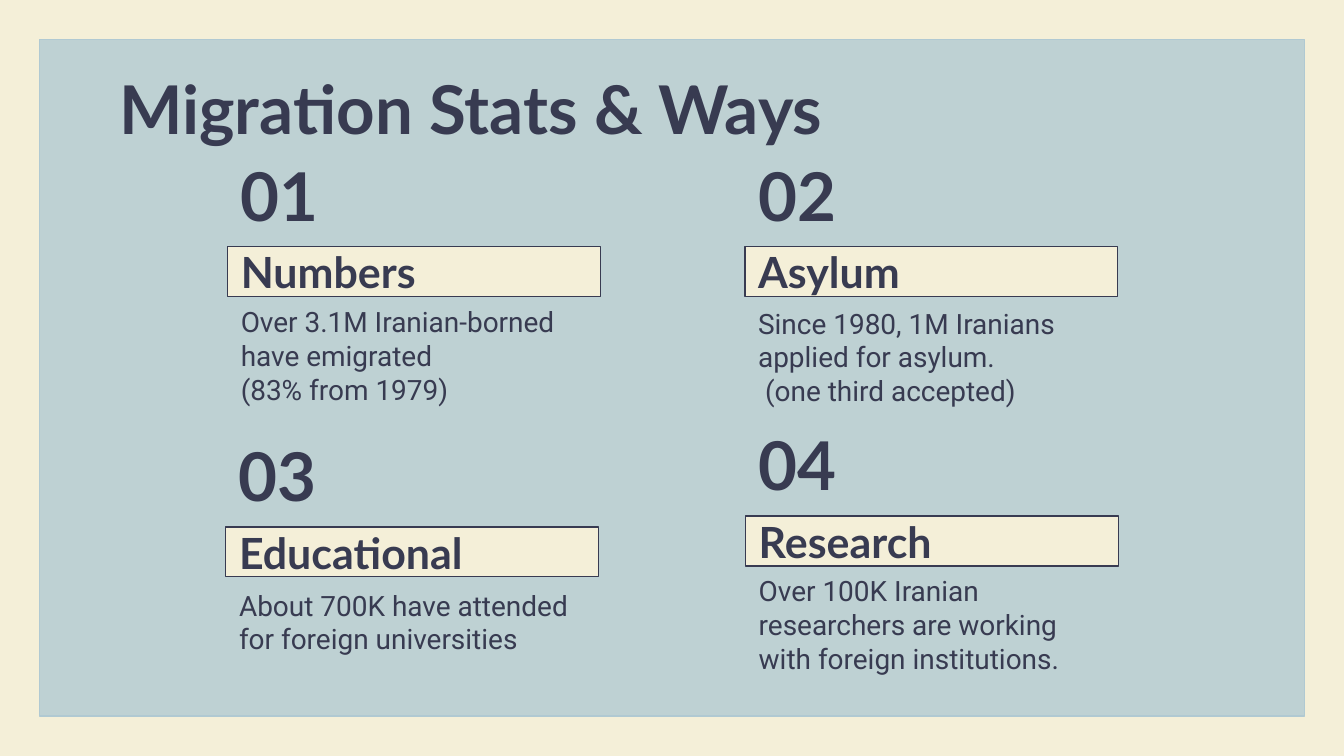
from lxml import etree
from pptx import Presentation
from pptx import util as u
from pptx.dml import color
from pptx.enum import shapes, text
from pptx.oxml import ns

WIDTH = u.Inches(10)
HEIGHT = u.Emu(WIDTH * 9 // 16)
COLORS = {"cream": "F4EFD8", "mist": "B0C9D2", "ink": "383B51"}
FORMATS = {
    "title": {"name": "Lato", "size": u.Pt(36), "bold": True},
    "heading": {"name": "Lato", "size": u.Pt(23), "bold": True},
    "body": {"name": "Roboto", "size": u.Pt(15), "bold": False},
}
FRAME = {
    "word_wrap": True,
    "vertical_anchor": text.MSO_ANCHOR.MIDDLE,
    **{f"margin_{side}": u.Inches(0.1) for side in ("left", "top", "right", "bottom")},
}
CARD_WIDTH = 27.75
NUMBER_RISE = 11.65
CARDS = [
    ("01", "Numbers", "Over 3.1M Iranian-borned have emigrated\n(83% from 1979)", 16.93, 32.65, 8.05),
    ("02", "Asylum", "Since 1980, 1M Iranians applied for asylum.\n (one third accepted)", 55.42, 32.65, 8.2),
    ("03", "Educational", "About 700K have attended for foreign universities", 16.8, 69.73, 6.2),
    ("04", "Research", "Over 100K Iranian researchers are working with foreign institutions.", 55.47, 68.28, 8),
]


def rgb(name):
    return color.RGBColor.from_string(COLORS[name])


def place(left, top, width, height):
    return [u.Emu(round(share * size / 100)) for share, size in
            zip((left, top, width, height), (WIDTH, HEIGHT, WIDTH, HEIGHT))]


def set_attributes(target, values):
    for name, value in values.items():
        setattr(target, name, value)


def write(shape, content, style):
    set_attributes(shape.text_frame, FRAME)
    paragraph = shape.text_frame.paragraphs[0]
    paragraph.text = content
    paragraph.alignment = text.PP_ALIGN.LEFT
    for run in paragraph.runs:
        set_attributes(run.font, FORMATS[style])
        run.font.color.rgb = rgb("ink")


def add_text(slide, box, content, style):
    write(slide.shapes.add_textbox(*place(*box)), content, style)


def add_box(slide, box, fill, line):
    shape = slide.shapes.add_shape(shapes.MSO_SHAPE.RECTANGLE, *place(*box))
    shape.shadow.inherit = False
    shape.fill.solid()
    shape.fill.fore_color.rgb = rgb(fill)
    shape.line.color.rgb = rgb(line)
    shape.line.width = u.Pt(0.75)
    return shape


def add_panel(slide):
    panel = add_box(slide, (2.95, 5.2, 94.1, 89.55), "mist", "mist")
    fill_color = panel.element.spPr.find(ns.qn("a:solidFill"))[0]
    etree.SubElement(fill_color, ns.qn("a:alpha"), val="78000")


def add_card(slide, number, heading, body, left, top, body_drop):
    bar = add_box(slide, (left, top, CARD_WIDTH, 6.58), "cream", "ink")
    write(bar, heading, "heading")
    add_text(slide, (left, top + body_drop, CARD_WIDTH, 12.62), body, "body")
    add_text(slide, (left, top - NUMBER_RISE, 9, 9.42), number, "title")


def main():
    presentation = Presentation()
    set_attributes(presentation, {"slide_width": WIDTH, "slide_height": HEIGHT})
    slide = presentation.slides.add_slide(presentation.slide_layouts[6])
    slide.background.fill.solid()
    slide.background.fill.fore_color.rgb = rgb("cream")
    add_panel(slide)
    add_text(slide, (7.9, 8.7, 84.3, 11.2), "Migration Stats & Ways", "title")
    for card in CARDS:
        add_card(slide, *card)
    presentation.save("out.pptx")


if __name__ == "__main__":
    main()
